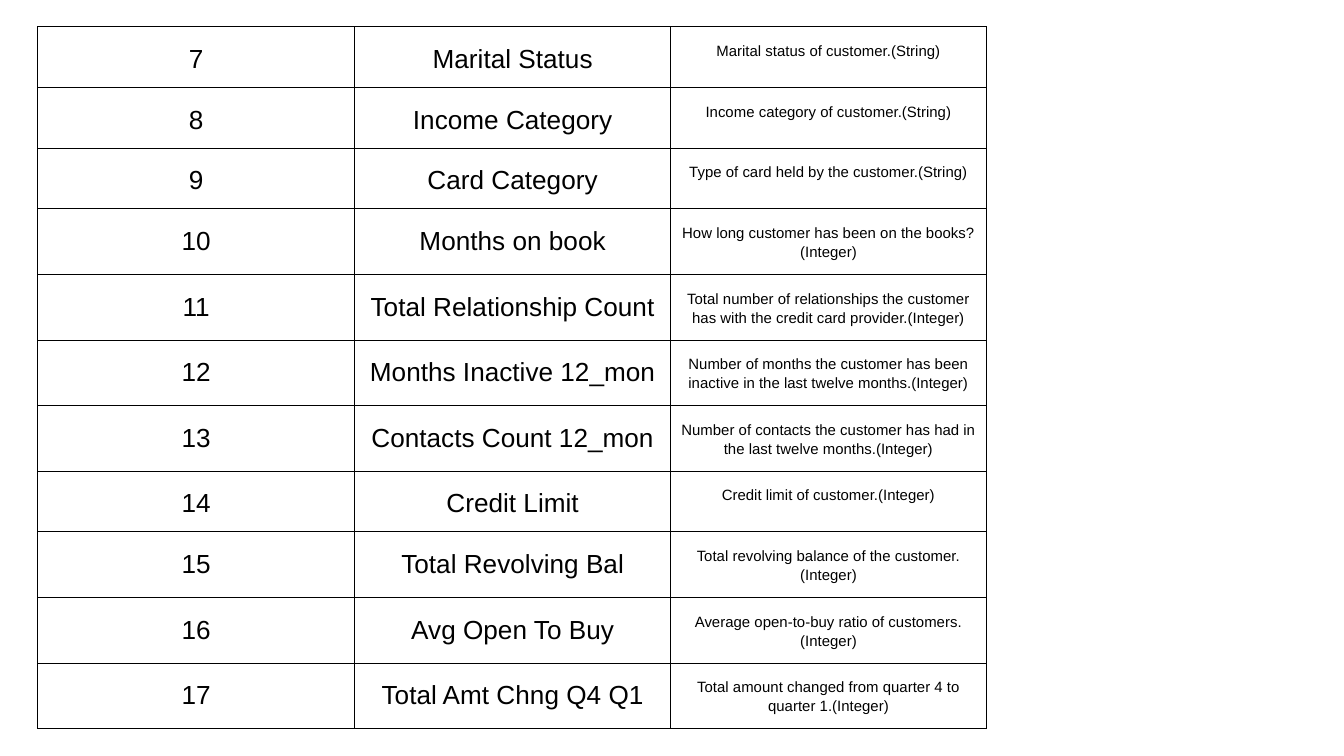
import pptx
import pptx.util
import pptx.dml.color
import pptx.enum.text
import pptx.oxml
import pptx.oxml.ns

Inches, Pt = pptx.util.Inches, pptx.util.Pt
BLACK = pptx.dml.color.RGBColor(0x00, 0x00, 0x00)

# Content: data fields, numbered from FIRST_NUMBER
FIRST_NUMBER = 7
FIELDS = [
    ("Marital Status", "Marital status of customer.(String)"),
    ("Income Category", "Income category of customer.(String)"),
    ("Card Category", "Type of card held by the customer.(String)"),
    ("Months on book", "How long customer has been on the books?(Integer)"),
    ("Total Relationship Count",
     "Total number of relationships the customer has with the credit card provider.(Integer)"),
    ("Months Inactive 12_mon",
     "Number of months the customer has been inactive in the last twelve months.(Integer)"),
    ("Contacts Count 12_mon",
     "Number of contacts the customer has had in the last twelve months.(Integer)"),
    ("Credit Limit", "Credit limit of customer.(Integer)"),
    ("Total Revolving Bal", "Total revolving balance of the customer.(Integer)"),
    ("Avg Open To Buy", "Average open-to-buy ratio of customers.(Integer)"),
    ("Total Amt Chng Q4 Q1",
     "Total amount changed from quarter 4 to quarter 1.(Integer)"),
]
SLIDE_WIDTH = 10
COL_WIDTHS = (2.36, 2.35, 2.35)
COL_SIZES = (14, 14, 8)
ROW_HEIGHT = 0.4
FRAME_SIZE = 3.28  # nominal frame; columns and rows set the drawn size
BORDER_WIDTH = 0.6


def add_borders(cell):
    tc_pr = cell._tc.get_or_add_tcPr()
    for side in ("lnL", "lnR", "lnT", "lnB"):
        tc_pr.append(pptx.oxml.parse_xml(
            f'<a:{side} {pptx.oxml.ns.nsdecls("a")} w="{Pt(BORDER_WIDTH)}">'
            f'<a:solidFill><a:srgbClr val="{BLACK}"/></a:solidFill></a:{side}>'))


def fill_cell(cell, text, size):
    cell.margin_left = cell.margin_right = Inches(0.07)
    cell.margin_top = cell.margin_bottom = Inches(0.1)
    add_borders(cell)
    cell.fill.background()
    p = cell.text_frame.paragraphs[0]
    p.text = text
    p.alignment = pptx.enum.text.PP_ALIGN.CENTER
    p.line_spacing = 1.15
    p.space_before = p.space_after = Pt(12)
    p.font.name = "Arial"
    p.font.size = Pt(size)
    p.font.color.rgb = BLACK


# Widescreen 16:9 slide
prs = pptx.Presentation()
prs.slide_width = Inches(SLIDE_WIDTH)
prs.slide_height = Inches(SLIDE_WIDTH * 9 / 16)
s = prs.slides.add_slide(prs.slide_layouts[6])

# Field table
frame = s.shapes.add_table(
    len(FIELDS), len(COL_WIDTHS), Inches(0.28), Inches(0.2),
    Inches(FRAME_SIZE), Inches(FRAME_SIZE))
table = frame.table
table.first_row = table.horz_banding = False
for column, width in zip(table.columns, COL_WIDTHS):
    column.width = Inches(width)

for i, (name, description) in enumerate(FIELDS):
    table.rows[i].height = Inches(ROW_HEIGHT)
    texts = (str(FIRST_NUMBER + i), name, description)
    for cell, text, size in zip(table.rows[i].cells, texts, COL_SIZES):
        fill_cell(cell, text, size)

# Column and row sizes reset the frame, so its size comes last
frame.width = frame.height = Inches(FRAME_SIZE)

prs.save("out.pptx")
